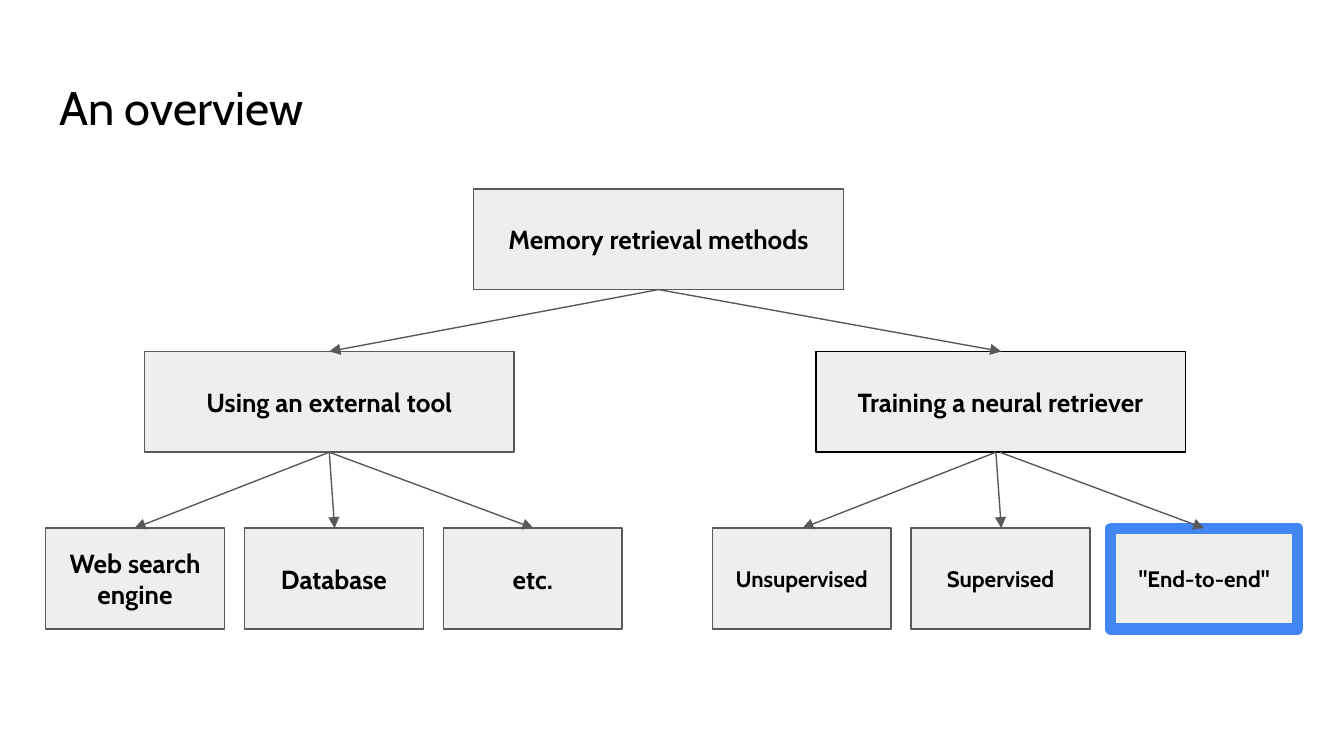
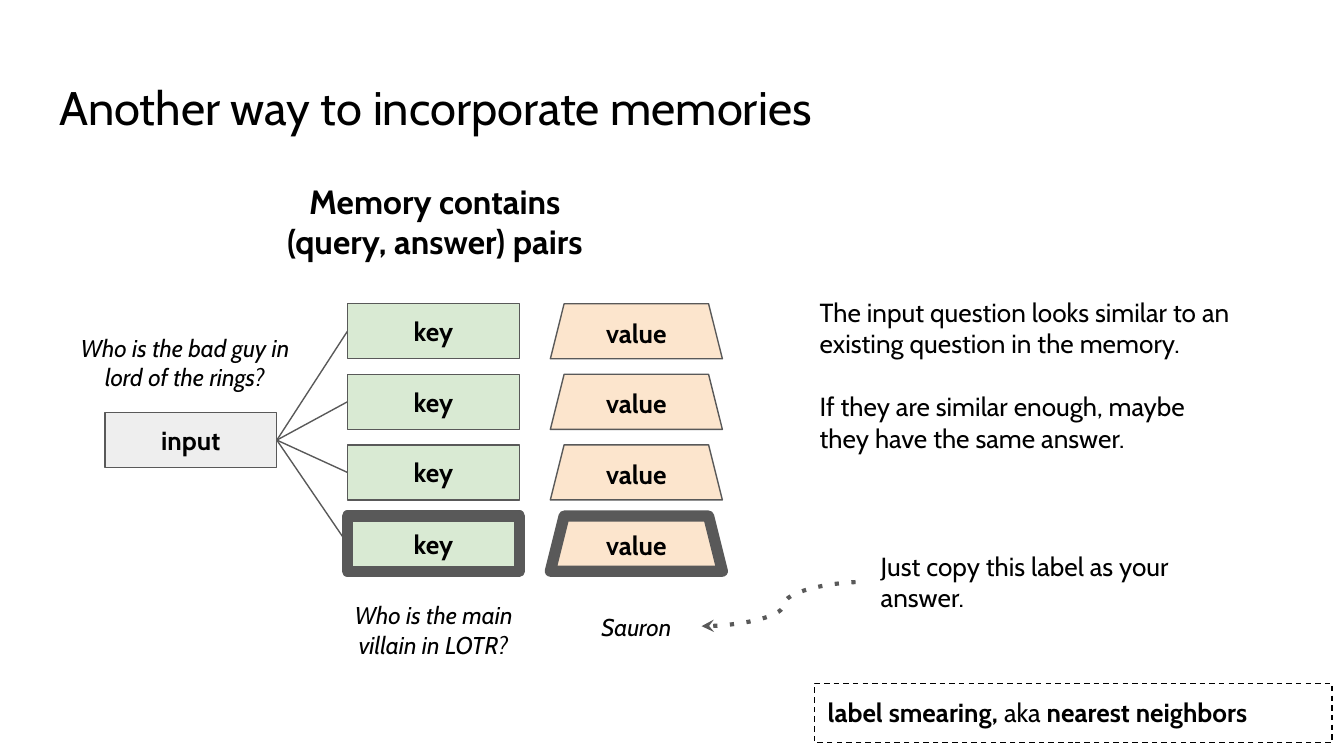
from lxml import etree
from pptx import Presentation
from pptx.dml.color import RGBColor
from pptx.enum.shapes import MSO_CONNECTOR, MSO_SHAPE
from pptx.enum.text import MSO_ANCHOR, MSO_AUTO_SIZE, PP_ALIGN
from pptx.oxml.ns import qn
from pptx.util import Pt

PX = 4572
FONT = "Cabin"
RECTANGLE, TRAPEZOID = MSO_SHAPE.RECTANGLE, MSO_SHAPE.TRAPEZOID
STRAIGHT, CURVE = MSO_CONNECTOR.STRAIGHT, MSO_CONNECTOR.CURVE
TOP, MIDDLE = MSO_ANCHOR.TOP, MSO_ANCHOR.MIDDLE
LEFT, CENTER = PP_ALIGN.LEFT, PP_ALIGN.CENTER
COLORS = {
    "text": "000000", "line": "595959", "grey": "EEEEEE",
    "green": "D9EAD3", "orange": "FCE5CD", "blue": "4285F4",
}
BOLD = {"name": FONT, "size": Pt(14), "bold": True, "italic": False}
SMALL = {**BOLD, "size": Pt(12)}
PLAIN = {**BOLD, "bold": False}
QUESTION = {**PLAIN, "size": Pt(13), "italic": True}
HEADING = {**BOLD, "size": Pt(18)}
TITLE = {**PLAIN, "size": Pt(25.2)}


def write_text(shape, paragraphs, font_format, align, anchor, gap=0):
    frame = shape.text_frame
    frame_format = {
        "word_wrap": True, "auto_size": MSO_AUTO_SIZE.NONE, "vertical_anchor": anchor,
        "margin_left": 20 * PX, "margin_right": 20 * PX,
        "margin_top": 20 * PX, "margin_bottom": 20 * PX,
    }
    for name, value in frame_format.items():
        setattr(frame, name, value)
    for number, runs in enumerate(paragraphs):
        paragraph = frame.add_paragraph() if number else frame.paragraphs[0]
        paragraph.alignment = align
        paragraph.space_before = Pt(gap if number else 0)
        for text in runs:
            run = paragraph.add_run()
            run.text = text
            run.font.color.rgb = RGBColor.from_string(COLORS["text"])
            for name, value in font_format.items():
                setattr(run.font, name, value)


def style_line(shape, color="line", width=0.75, dash="solid", arrows=()):
    shape.line.color.rgb = RGBColor.from_string(COLORS[color])
    shape.line.width = Pt(width)
    properties = shape.element.spPr
    outline = properties.get_or_add_ln()
    etree.SubElement(outline, qn("a:prstDash"), val=dash)
    etree.SubElement(outline, qn("a:round"))
    for end, kind in arrows:
        etree.SubElement(outline, qn(end), type=kind)
    etree.SubElement(properties, qn("a:effectLst"))


presentation = Presentation()
presentation.slide_width = 2000 * PX
presentation.slide_height = 1125 * PX

slides = []
for heading in ("An overview", "Another way to incorporate memories"):
    slide = presentation.slides.add_slide(presentation.slide_layouts[5])
    title = slide.shapes.title
    title.left, title.top, title.width, title.height = (
        value * PX for value in (68, 97, 1864, 125))
    write_text(title, [[heading]], TITLE, LEFT, TOP)
    slides.append(slide)
overview, memories = slides

boxes = [
    (overview, RECTANGLE, (705, 281, 550, 150), "Memory retrieval methods", "grey", BOLD, "line", 0.75),
    (overview, RECTANGLE, (215, 523, 550, 150), "Using an external tool", "grey", BOLD, "line", 0.75),
    (overview, RECTANGLE, (1214, 523, 550, 150), "Training a neural retriever", "grey", BOLD, "text", 0.75),
]
leaves = [
    (68, ("Web search engine", "Database", "etc."), BOLD),
    (1060, ("Unsupervised", "Supervised"), SMALL),
]
for left, labels, font_format in leaves:
    for column, label in enumerate(labels):
        place = (left + 296 * column, 786, 266, 150)
        boxes.append((overview, RECTANGLE, place, label, "grey", font_format, "line", 0.75))
boxes.append((overview, RECTANGLE, (1653, 786, 278, 150), '"End-to-end"', "grey", SMALL, "blue", 6))

boxes.append((memories, RECTANGLE, (156, 614, 256, 82), "input", "grey", BOLD, "line", 0.75))
for row in range(4):
    top = 452 + 316 * row // 3
    width = 6 if row == 3 else 0.75
    boxes.append((memories, RECTANGLE, (517, top, 256, 82), "key", "green", BOLD, "line", width))
    boxes.append((memories, TRAPEZOID, (819, top, 256, 82), "value", "orange", BOLD, "line", width))

for slide, kind, place, label, fill, font_format, color, width in boxes:
    shape = slide.shapes.add_shape(kind, *(value * PX for value in place))
    shape.fill.solid()
    shape.fill.fore_color.rgb = RGBColor.from_string(COLORS[fill])
    style_line(shape, color, width)
    write_text(shape, [[label]], font_format, CENTER, MIDDLE)

arrows = [
    ((980, 431), (490, 523)), ((980, 431), (1490, 523)),
    ((490, 673), (200, 786)), ((490, 673), (498, 786)), ((490, 673), (794, 786)),
    ((1482, 673), (1194, 786)), ((1482, 673), (1490, 786)), ((1488, 673), (1792, 786)),
]
lines = [(overview, STRAIGHT, *ends, {"arrows": [("a:tailEnd", "triangle")]}) for ends in arrows]
lines += [(memories, STRAIGHT, (412, 655), (517, 493 + 316 * row // 3), {}) for row in range(4)]
lines.append((memories, CURVE, (1044, 932), (1290, 866),
              {"width": 2.25, "dash": "dot", "arrows": [("a:headEnd", "stealth")]}))
for slide, kind, start, end, line_format in lines:
    connector = slide.shapes.add_connector(kind, *(value * PX for value in start + end))
    style_line(connector, **line_format)

notes = [
    ((95, 476, 360, 128), [["Who is the bad guy in lord of the rings?"]], QUESTION, CENTER),
    ((465, 874, 360, 128), [["Who is the main villain in LOTR?"]], QUESTION, CENTER),
    ((850, 891, 194, 84), [["Sauron"]], QUESTION, CENTER),
    ((305, 249, 684, 162), [["Memory contains"], ["(query, answer) pairs"]], HEADING, CENTER),
    ((1291, 799, 506, 134), [["Just copy this label as your answer."]], PLAIN, LEFT),
]
for place, paragraphs, font_format, align in notes:
    note = memories.shapes.add_textbox(*(value * PX for value in place))
    write_text(note, paragraphs, font_format, align, TOP)

explanation = memories.shapes.add_textbox(1200 * PX, 421 * PX, 656 * PX, 324 * PX)
write_text(explanation, [
    ["The input question looks similar to an existing question in the memory."],
    ["If they are similar enough, maybe they have the same answer."],
], PLAIN, LEFT, TOP, gap=17)

summary = memories.shapes.add_shape(RECTANGLE, 1212 * PX, 1017 * PX, 770 * PX, 88 * PX)
summary.fill.background()
style_line(summary, "text", dash="dash")
write_text(summary, [["label smearing, ", "aka ", "nearest neighbors"]], BOLD, LEFT, TOP)
summary.text_frame.paragraphs[0].runs[1].font.bold = False

presentation.save("out.pptx")
